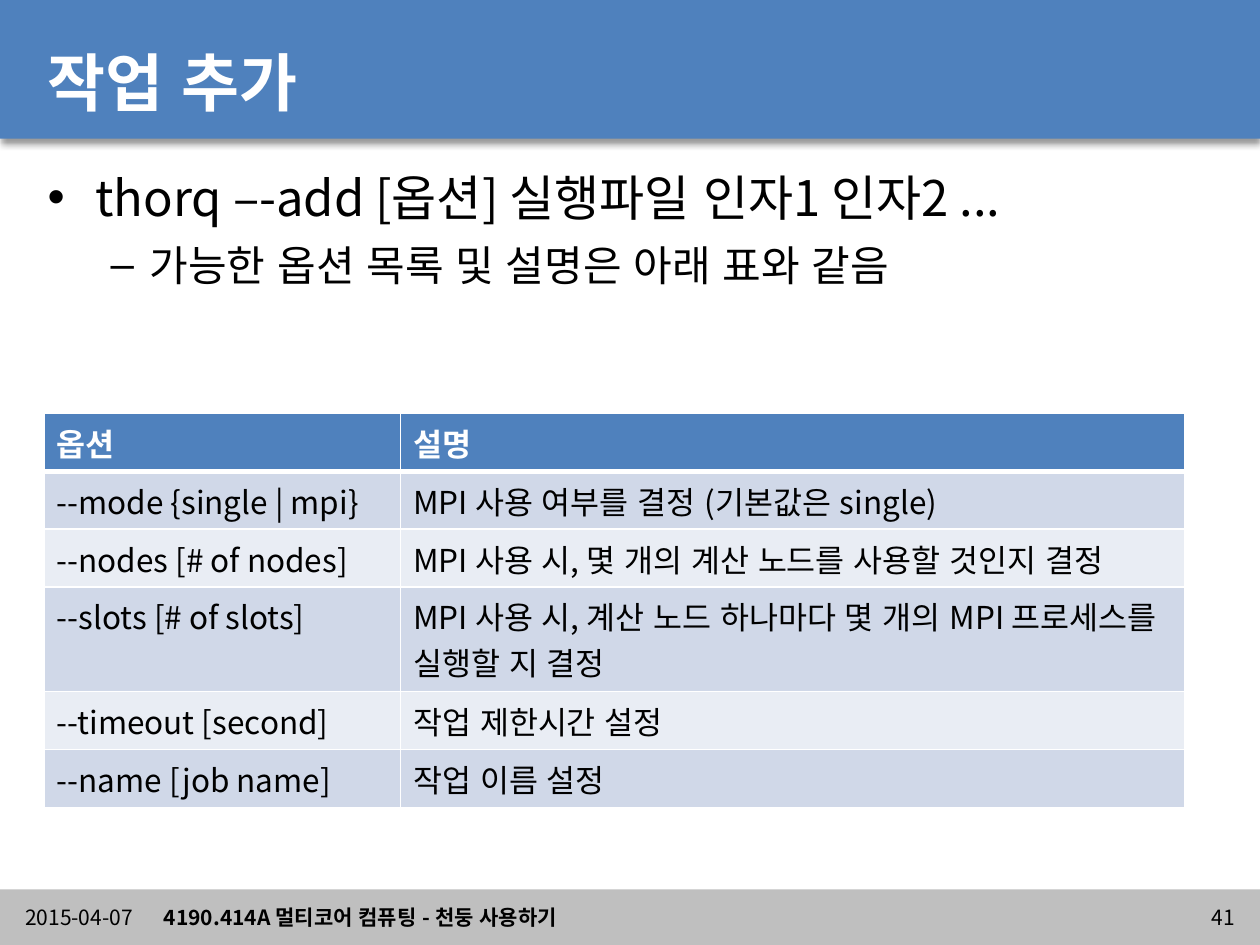
from lxml.etree import SubElement as Sub
from pptx import Presentation
from pptx.dml.color import RGBColor as RGB
from pptx.enum.lang import MSO_LANGUAGE_ID as Lang
from pptx.enum.shapes import MSO_SHAPE as Shape
from pptx.enum.text import MSO_ANCHOR as Anchor, PP_ALIGN as Align
from pptx.oxml.ns import qn
from pptx.util import Inches, Pt

FACE = "Noto Sans CJK KR"
BLUE, GRAY, WHITE, BLACK = "4F81BD", "BFBFBF", "FFFFFF", "000000"
BANDS = "D0D8E8", "E9EDF4"
WIDE, HIGH = 10, 7.5
HEAD, FOOT = 1.1, 0.44
EDGE, SPAN = 0.28, 9.45

TITLE = "작업 추가"
BODY = [
    ("thorq –-add [옵션] 실행파일 인자1 인자2 ...", "•", 28, 0.38, 0.38),
    ("가능한 옵션 목록 및 설명은 아래 표와 같음", "–", 24, 0.81, 0.31),
]
NOTES = [
    ("2015-04-07", 0.2, 1.1, False, Align.LEFT),
    ("4190.414A 멀티코어 컴퓨팅 - 천둥 사용하기", 1.3, 7.8, True, Align.LEFT),
    ("41", 9.09, 0.71, False, Align.RIGHT),
]
COLS = 2.83, 6.22
ONE, TWO = 0.46, 0.83
ROWS = [
    (ONE, "옵션", "설명"),
    (ONE, "--mode {single | mpi}", "MPI 사용 여부를 결정 (기본값은 single)"),
    (ONE, "--nodes [# of nodes]", "MPI 사용 시, 몇 개의 계산 노드를 사용할 것인지 결정"),
    (TWO, "--slots [# of slots]", "MPI 사용 시, 계산 노드 하나마다 몇 개의 MPI 프로세스를 실행할 지 결정"),
    (ONE, "--timeout [second]", "작업 제한시간 설정"),
    (ONE, "--name [job name]", "작업 이름 설정"),
]


def paint(fill, color):
    fill.solid()
    fill.fore_color.rgb = RGB.from_string(color)


def style(para, size, color=BLACK, bold=False):
    font = para.font
    font.name, font.size, font.bold = FACE, Pt(size), bold
    font.language_id = Lang.KOREAN
    paint(font.fill, color)
    props = para._p.pPr.find(qn("a:defRPr"))
    east = Sub(props, qn("a:ea"), typeface=FACE)
    props.find(qn("a:latin")).addnext(east)


def bar(top, high, color):
    box = slide.shapes.add_shape(
        Shape.RECTANGLE, 0, Inches(top), Inches(WIDE), Inches(high))
    box.shadow.inherit = False
    paint(box.fill, color)
    box.line.fill.background()
    return box


def shade(box):
    glow = Sub(box._element.spPr.find(qn("a:effectLst")), qn("a:outerShdw"),
               blurRad=str(Pt(4)), dist=str(Pt(3)), dir="5400000", rotWithShape="0")
    tint = Sub(glow, qn("a:srgbClr"), val=BLACK)
    Sub(tint, qn("a:alpha"), val="40000")


def frame(left, top, wide, high, anchor=Anchor.MIDDLE):
    area = slide.shapes.add_textbox(*map(Inches, (left, top, wide, high))).text_frame
    area.word_wrap = True
    area.vertical_anchor = anchor
    return area


def rule(cell, widths):
    props = cell._tc.get_or_add_tcPr()
    for side, width in zip("LRTB", widths):
        line = Sub(props, qn(f"a:ln{side}"), w=str(Pt(width)))
        Sub(Sub(line, qn("a:solidFill")), qn("a:srgbClr"), val=WHITE)


deck = Presentation()
deck.slide_width, deck.slide_height = Inches(WIDE), Inches(HIGH)
slide = deck.slides.add_slide(deck.slide_layouts[6])

bar(HIGH - FOOT, FOOT, GRAY)
shade(bar(0, HEAD, BLUE))

para = frame(EDGE, 0.29, SPAN, 0.71).paragraphs[0]
para.text = TITLE
style(para, 36, WHITE, True)

for text, left, wide, bold, align in NOTES:
    area = frame(left, 7.16, wide, 0.24)
    area.margin_left = area.margin_right = area.margin_top = area.margin_bottom = 0
    para = area.paragraphs[0]
    para.text, para.alignment = text, align
    style(para, 12, bold=bold)

area = frame(EDGE, 1.23, SPAN, 5.59, Anchor.TOP)
for i, (text, mark, size, left, hang) in enumerate(BODY):
    para = area.add_paragraph() if i else area.paragraphs[0]
    para.text, para.level, para.line_spacing = text, i, 1.1
    if i:
        para.space_before = Pt(size * 0.2)
    props = para._p.get_or_add_pPr()
    props.set("marL", str(Inches(left)))
    props.set("indent", str(-Inches(hang)))
    Sub(props, qn("a:buFont"), typeface="Arial")
    Sub(props, qn("a:buChar"), char=mark)
    style(para, size)

grid = slide.shapes.add_table(
    len(ROWS), len(COLS), Inches(0.35), Inches(3.28),
    Inches(sum(COLS)), Inches(sum(row[0] for row in ROWS))).table
for col, wide in zip(grid.columns, COLS):
    col.width = Inches(wide)
for r, (high, *texts) in enumerate(ROWS):
    grid.rows[r].height = Inches(high)
    for c, text in enumerate(texts):
        cell = grid.cell(r, c)
        rule(cell, (1, 1, 3 if r == 1 else 1, 1 if r else 3))
        paint(cell.fill, BANDS[(r - 1) % 2] if r else BLUE)
        para = cell.text_frame.paragraphs[0]
        para.text = text
        style(para, 18, BLACK if r else WHITE, not r)

deck.save("out.pptx")
